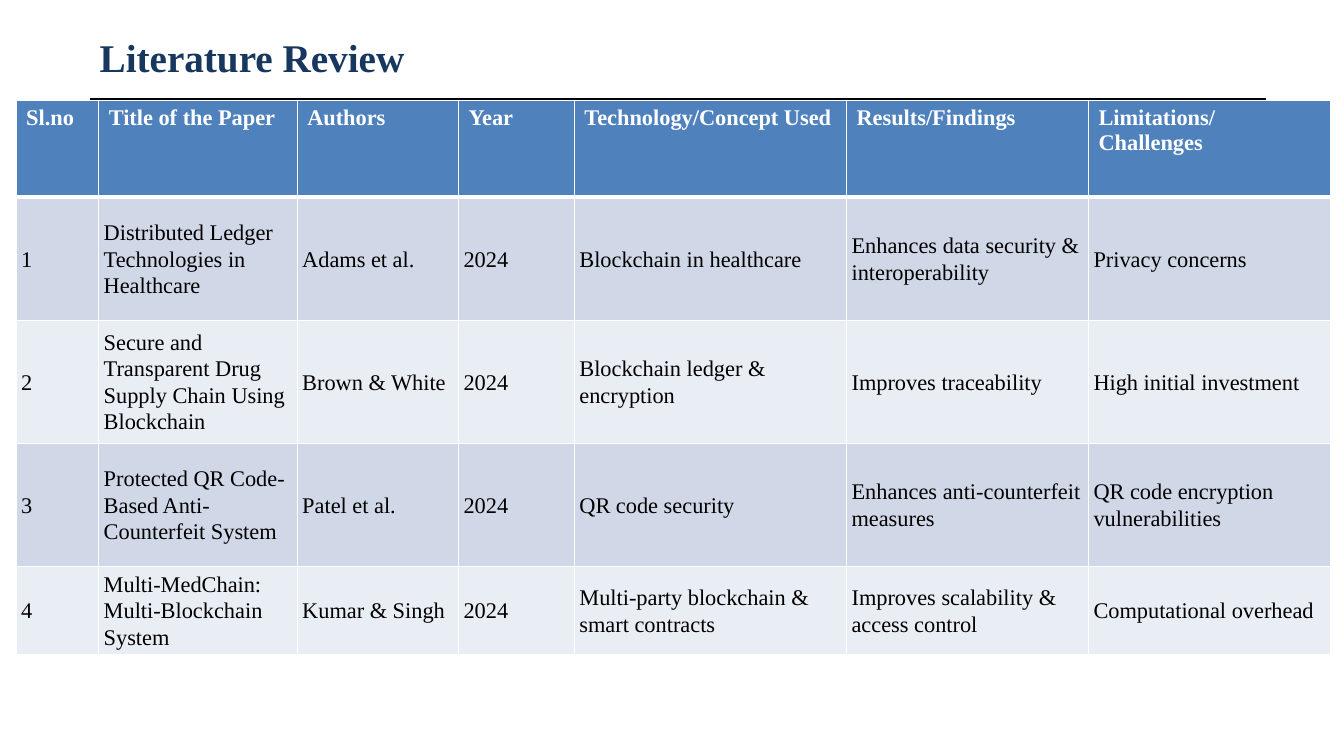
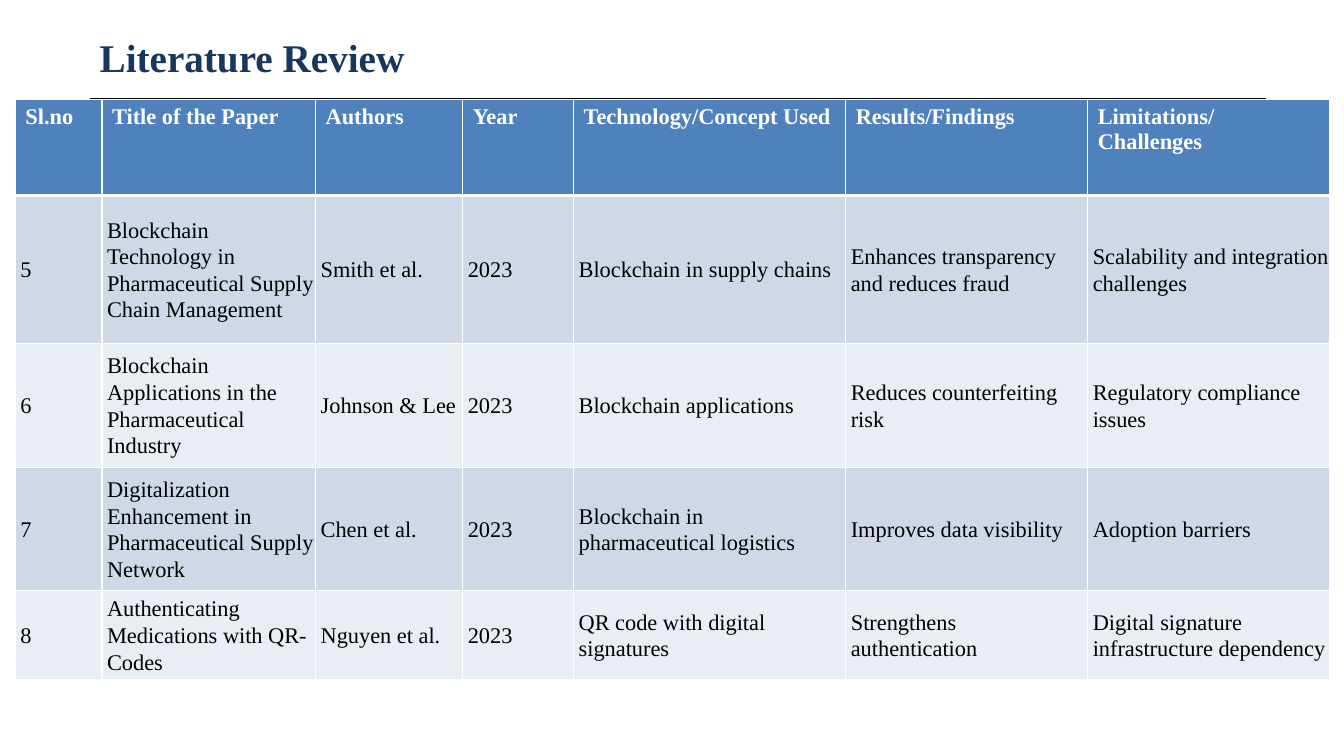
"""Build two literature review slides, each with a banded table of papers."""
from lxml.etree import SubElement
from pptx import Presentation
from pptx.dml.color import RGBColor
from pptx.enum.shapes import MSO_CONNECTOR
from pptx.enum.text import MSO_ANCHOR, MSO_AUTO_SIZE, PP_ALIGN
from pptx.oxml.ns import qn
from pptx.util import Pt

FONT = "Times New Roman"
NAVY = RGBColor(0x17, 0x37, 0x5E)
BLACK = RGBColor(0x00, 0x00, 0x00)
WHITE = RGBColor(0xFF, 0xFF, 0xFF)
HEADER_BLUE = RGBColor(0x4F, 0x81, 0xBD)
BANDS = [RGBColor(0xD0, 0xD8, 0xE8), RGBColor(0xE9, 0xED, 0xF4)]

LEFT, RIGHT, RULE_TOP = 64, 904.3, 72
HEADERS = ["Sl.no", "Title of the Paper", "Authors", "Year", "Technology/Concept Used",
           "Results/Findings", "Limitations/\nChallenges"]

TABLES = [
    {
        "left": 11.5, "top": 72,
        "columns": [59, 141.8, 115.2, 82.8, 194.4, 172.8, 172.8],
        "rows": [68.8, 87.9, 87.9, 87.9, 63.4],
        "papers": [
            ["1", "Distributed Ledger Technologies in Healthcare", "Adams et al.", "2024",
             "Blockchain in healthcare", "Enhances data security & interoperability",
             "Privacy concerns"],
            ["2", "Secure and Transparent Drug Supply Chain Using Blockchain", "Brown & White",
             "2024", "Blockchain ledger & encryption", "Improves traceability",
             "High initial investment"],
            ["3", "Protected QR Code-Based Anti-Counterfeit System", "Patel et al.", "2024",
             "QR code security", "Enhances anti-counterfeit measures",
             "QR code encryption vulnerabilities"],
            ["4", "Multi-MedChain: Multi-Blockchain System", "Kumar & Singh", "2024",
             "Multi-party blockchain & smart contracts",
             "Improves scalability & access control", "Computational overhead"],
        ],
    },
    {
        "left": 11, "top": 70.8,
        "columns": [61.9, 152.6, 105.1, 79.2, 194.4, 172.8, 172.8],
        "rows": [68.8, 105.8, 88.3, 88.3, 63.4],
        "papers": [
            ["5", "Blockchain Technology in Pharmaceutical Supply Chain Management",
             "Smith et al.", "2023", "Blockchain in supply chains",
             "Enhances transparency and reduces fraud", "Scalability and integration challenges"],
            ["6", "Blockchain Applications in the Pharmaceutical Industry", "Johnson & Lee",
             "2023", "Blockchain applications", "Reduces counterfeiting risk",
             "Regulatory compliance issues"],
            ["7", "Digitalization Enhancement in Pharmaceutical Supply Network", "Chen et al.",
             "2023", "Blockchain in pharmaceutical logistics", "Improves data visibility",
             "Adoption barriers"],
            ["8", "Authenticating Medications with QR-Codes", "Nguyen et al.", "2023",
             "QR code with digital signatures", "Strengthens authentication",
             "Digital signature infrastructure dependency"],
        ],
    },
]


def format_runs(paragraph, size, color, bold):
    for run in paragraph.runs:
        run.font.name = FONT
        run.font.size = Pt(size)
        run.font.bold = bold
        run.font.color.rgb = color


def set_borders(cell, top, bottom):
    properties = cell._tc.get_or_add_tcPr()
    for side, width in (("L", 1), ("R", 1), ("T", top), ("B", bottom)):
        line = SubElement(properties, qn(f"a:ln{side}"), w=str(Pt(width)))
        fill = SubElement(line, qn("a:solidFill"))
        SubElement(fill, qn("a:srgbClr"), val=str(WHITE))


presentation = Presentation()
presentation.slide_width = Pt(960)
presentation.slide_height = Pt(540)

for review in TABLES:
    slide = presentation.slides.add_slide(presentation.slide_layouts[5])

    title = slide.shapes.title
    title.left, title.top = Pt(LEFT), Pt(21.6)
    title.width, title.height = Pt(RIGHT - LEFT), Pt(38.2)
    title.text_frame.text = "Literature Review"
    title.text_frame.auto_size = MSO_AUTO_SIZE.NONE
    title.text_frame.vertical_anchor = MSO_ANCHOR.MIDDLE
    paragraph = title.text_frame.paragraphs[0]
    paragraph.alignment = PP_ALIGN.LEFT
    format_runs(paragraph, 28, NAVY, True)

    rule = slide.shapes.add_connector(
        MSO_CONNECTOR.STRAIGHT, Pt(LEFT), Pt(RULE_TOP), Pt(RIGHT), Pt(RULE_TOP))
    rule.line.color.rgb = BLACK
    rule.line.width = Pt(4.5)
    SubElement(rule._element.spPr, qn("a:effectLst"))

    records = [HEADERS] + review["papers"]
    table = slide.shapes.add_table(
        len(records), len(HEADERS), Pt(review["left"]), Pt(review["top"]),
        Pt(sum(review["columns"])), Pt(sum(review["rows"]))).table
    for column, width in zip(table.columns, review["columns"]):
        column.width = Pt(width)
    for row, height in zip(table.rows, review["rows"]):
        row.height = Pt(height)

    for row_index, record in enumerate(records):
        is_header = row_index == 0
        for column_index, text in enumerate(record):
            cell = table.cell(row_index, column_index)
            set_borders(cell, 3 if row_index == 1 else 1, 3 if is_header else 1)
            cell.fill.solid()
            cell.fill.fore_color.rgb = HEADER_BLUE if is_header else BANDS[(row_index - 1) % 2]
            cell.text_frame.text = text
            if not is_header:
                cell.vertical_anchor = MSO_ANCHOR.MIDDLE
                cell.margin_left = Pt(3.6)
                cell.margin_right = cell.margin_top = cell.margin_bottom = Pt(0.7)
            for paragraph in cell.text_frame.paragraphs:
                if not is_header:
                    paragraph.line_spacing = 1.07
                    paragraph.space_after = Pt(8)
                format_runs(paragraph, 16, WHITE if is_header else BLACK, is_header)

presentation.save("out.pptx")
